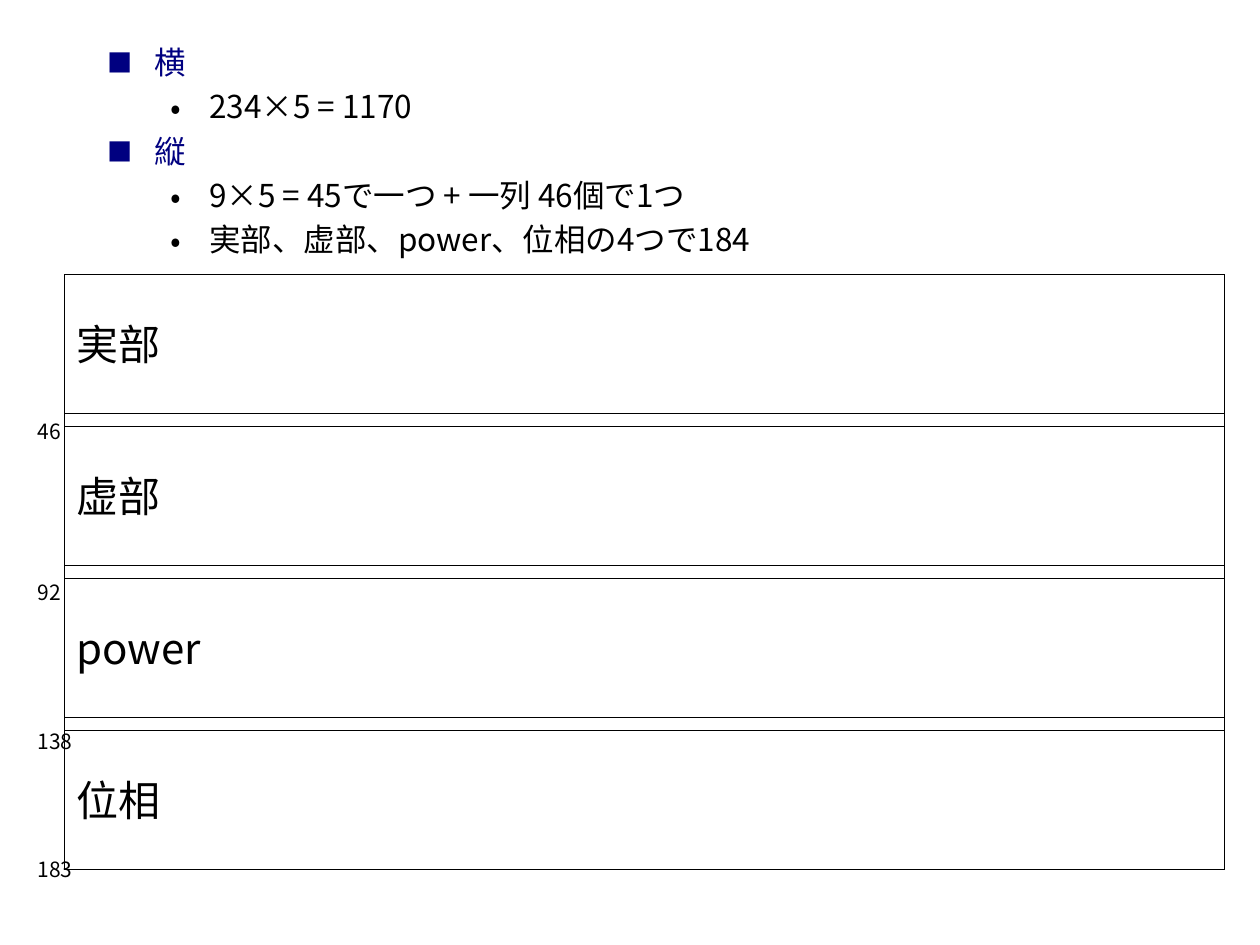
from lxml.etree import SubElement
from pptx import Presentation
from pptx.dml.color import RGBColor
from pptx.enum.shapes import MSO_SHAPE
from pptx.enum.text import MSO_ANCHOR, MSO_AUTO_SIZE, PP_ALIGN
from pptx.oxml.ns import qn
from pptx.util import Inches, Pt

FONT = "Noto Sans CJK JP"
NAVY = "000080"
BLACK = "000000"


def color(value):
    return RGBColor.from_string(value)


def write(para, text, size=18, fill=BLACK):
    para.alignment = PP_ALIGN.LEFT
    span = para.add_run()
    span.text = text
    span.font.size = Pt(size)
    span.font.name = FONT
    span.font.color.rgb = color(fill)
    SubElement(span.font._element, qn("a:ea"), typeface=FONT)


deck = Presentation()
deck.slide_width = Inches(10)
deck.slide_height = Inches(7.5)
page = deck.slides.add_slide(deck.slide_layouts[1])
title = page.shapes.title
title.element.getparent().remove(title.element)

body = page.placeholders[1]
body.left, body.top = Inches(0.75), Inches(0.29)
body.width, body.height = Inches(8.5), Inches(4.5)
body.text_frame.auto_size = MSO_AUTO_SIZE.NONE
body.text_frame.vertical_anchor = MSO_ANCHOR.TOP

outline = [
    (0, "横"),
    (1, "234×5 = 1170"),
    (0, "縦"),
    (1, "9×5 = 45で一つ + 一列 46個で1つ"),
    (1, "実部、虚部、power、位相の4つで184"),
]
levels = [
    {"margin": 0.38, "indent": -0.38, "fill": NAVY, "bullet": "■", "scale": "80000"},
    {"margin": 0.81, "indent": -0.31, "fill": BLACK, "bullet": "•", "scale": "100000"},
]
for index, (level, text) in enumerate(outline):
    style = levels[level]
    para = body.text_frame.paragraphs[0] if index == 0 else body.text_frame.add_paragraph()
    para.level = level
    para.space_before = Pt(3.6)
    para.line_spacing = Pt(21.7)
    write(para, text, fill=style["fill"])
    properties = para._p.get_or_add_pPr()
    properties.set("marL", str(Inches(style["margin"])))
    properties.set("indent", str(Inches(style["indent"])))
    bullet_color = SubElement(properties, qn("a:buClr"))
    SubElement(bullet_color, qn("a:srgbClr"), val=style["fill"])
    SubElement(properties, qn("a:buSzPct"), val=style["scale"])
    SubElement(properties, qn("a:buFont"), typeface=FONT)
    SubElement(properties, qn("a:buChar"), char=style["bullet"])

left, top, width, height = 0.51, 2.18, 9.21, 4.72
band_height = 1.1
bands = ["実部", "虚部", "power", "位相"]
pitch = (height - band_height) / (len(bands) - 1)
frames = [(top, height, "")]
frames += [(top + index * pitch, band_height, name) for index, name in enumerate(bands)]
group = page.shapes.add_group_shape()
for frame_top, frame_height, name in frames:
    box = group.shapes.add_shape(
        MSO_SHAPE.RECTANGLE, Inches(left), Inches(frame_top), Inches(width), Inches(frame_height)
    )
    box.shadow.inherit = False
    box.fill.background()
    box.line.color.rgb = color(BLACK)
    box.line.width = Pt(0.75)
    if name:
        box.text_frame.vertical_anchor = MSO_ANCHOR.MIDDLE
        write(box.text_frame.paragraphs[0], name, size=24)

for label_top, row in [(3.27, "46"), (4.55, "92"), (5.73, "138"), (6.75, "183")]:
    label = page.shapes.add_textbox(Inches(0.2), Inches(label_top), Inches(0.55), Inches(0.3))
    label.text_frame.word_wrap = True
    label.text_frame.auto_size = MSO_AUTO_SIZE.SHAPE_TO_FIT_TEXT
    write(label.text_frame.paragraphs[0], row, size=12)

deck.save("out.pptx")
